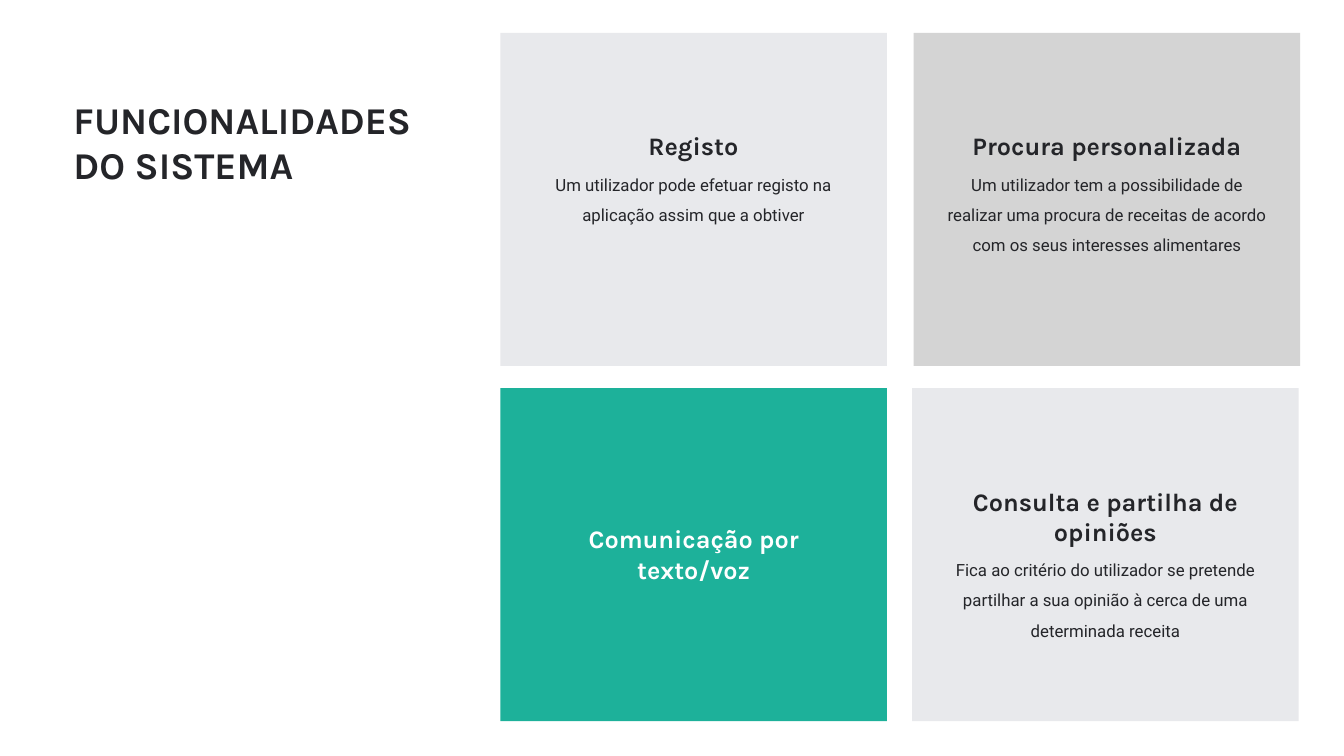
from pptx import Presentation
from pptx.dml.color import RGBColor
from pptx.enum.shapes import MSO_SHAPE
from pptx.enum.text import MSO_ANCHOR, PP_ALIGN
from pptx.util import Emu, Pt

RECT = MSO_SHAPE.ROUNDED_RECTANGLE
TOP = MSO_ANCHOR.TOP
LEFT, CENTER = PP_ALIGN.LEFT, PP_ALIGN.CENTER

SCALE = 9144  # EMU per px, 100 px to the inch
CARD_W, CARD_H = 767, 661
TEXT_W, TEXT_H = 653, 284
DARK, WHITE, PALE, GREY, GREEN = "242529", "FFFFFF", "E8E9EC", "D4D4D4", "1DB19A"

# left, top, fill, text colour, text width, text offset, heading, body
CARDS = [
    (1813, 65, GREY, DARK, TEXT_W, 189, "Procura personalizada",
     "Um utilizador tem a possibilidade de realizar uma procura de receitas "
     "de acordo com os seus interesses alimentares"),
    (1810, 770, PALE, DARK, TEXT_W, 189, "Consulta e partilha de opiniões",
     "Fica ao critério do utilizador se pretende partilhar a sua opinião "
     "à cerca de uma determinada receita"),
    (993, 770, GREEN, WHITE, TEXT_W, 264, "Comunicação por texto/voz", None),
    (993, 65, PALE, DARK, 594, 189, "Registo",
     "Um utilizador pode efetuar registo na aplicação assim que a obtiver"),
]


def px(n):
    return Emu(round(n * SCALE))


def rgb(code):
    return RGBColor.from_string(code)


def style(para, size, font, color, bold, align):
    para.alignment = align
    for run in para.runs:
        run.font.size = Pt(size)
        run.font.name = font
        run.font.bold = bold
        run.font.color.rgb = rgb(color)


def add_box(slide, x, y, w, h, side):
    """Add an empty wrapping text box and return its frame."""
    frame = slide.shapes.add_textbox(px(x), px(y), px(w), px(h)).text_frame
    frame.word_wrap = True
    frame.vertical_anchor = TOP
    frame.margin_left = frame.margin_right = px(side)
    return frame


def add_title(slide, text):
    frame = add_box(slide, 136, 186, 797, 419, 10)
    frame.text = text
    style(frame.paragraphs[0], 54, "Karla", DARK, True, LEFT)


def add_card(slide, x, y, fill, color, width, drop, head, body):
    # Panel
    panel = slide.shapes.add_shape(RECT, px(x), px(y), px(CARD_W), px(CARD_H))
    panel.adjustments[0] = 0
    panel.shadow.inherit = False
    panel.fill.solid()
    panel.fill.fore_color.rgb = rgb(fill)
    panel.line.fill.background()

    # Heading and body, centred on the panel
    left = x + (CARD_W - width) // 2
    frame = add_box(slide, left, y + drop, width, TEXT_H, 5)
    frame.text = head
    style(frame.paragraphs[0], 36, "Karla", color, True, CENTER)
    if body:
        para = frame.add_paragraph()
        para.text = body
        para.line_spacing = 1.5
        para.space_before = Pt(5)
        style(para, 24, "Roboto", color, False, CENTER)


def main():
    deck = Presentation()
    deck.slide_width, deck.slide_height = px(2667), px(1500)
    slide = deck.slides.add_slide(deck.slide_layouts[6])
    slide.background.fill.solid()
    slide.background.fill.fore_color.rgb = rgb(WHITE)
    add_title(slide, "FUNCIONALIDADES DO SISTEMA")
    for card in CARDS:
        add_card(slide, *card)
    deck.save("out.pptx")


if __name__ == "__main__":
    main()
